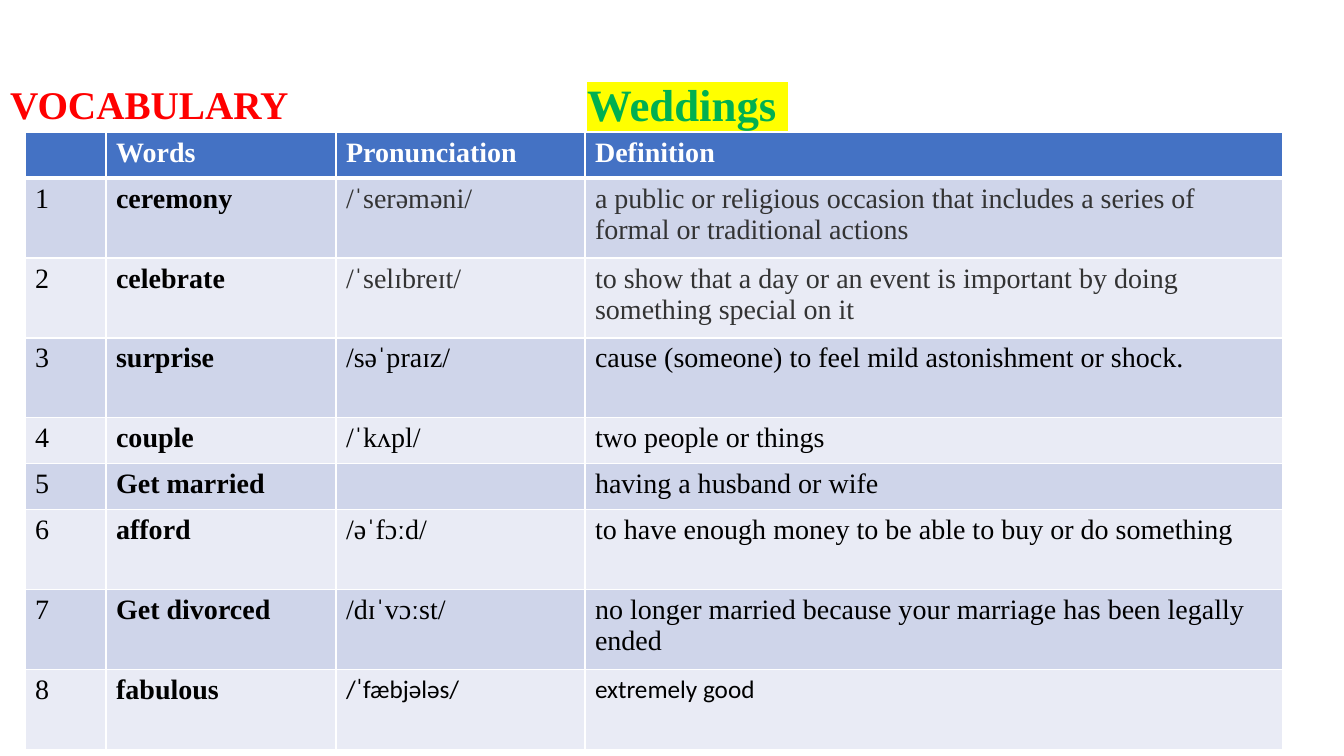
from lxml import etree
from pptx import Presentation
from pptx.dml.color import RGBColor
from pptx.enum.text import MSO_ANCHOR, MSO_AUTO_SIZE, PP_ALIGN
from pptx.oxml.ns import qn
from pptx.util import Pt

TOP = MSO_ANCHOR.TOP
NO_FIT = MSO_AUTO_SIZE.NONE
LEFT, CENTER = PP_ALIGN.LEFT, PP_ALIGN.CENTER

SERIF, SANS = "Times New Roman", "Calibri"
BLACK, GREY, WHITE = "000000", "333333", "FFFFFF"
HEADER_FILL = "4472C4"
BAND_FILLS = ["CFD5EA", "E9EBF5"]
COLUMN_WIDTHS = [81, 230, 249, 698]
SHORT_ROW, TALL_ROW = 46, 80
HEADERS = ["", "Words", "Pronunciation", "Definition"]
WORDS = [
    ("ceremony", "/ˈserəməni/",
     "a public or religious occasion that includes a series of formal or traditional actions",
     TALL_ROW, GREY, SERIF, 20),
    ("celebrate", "/ˈselɪbreɪt/",
     "to show that a day or an event is important by doing something special on it",
     TALL_ROW, GREY, SERIF, 20),
    ("surprise", "/səˈpraɪz/", "cause (someone) to feel mild astonishment or shock.",
     TALL_ROW, BLACK, SERIF, 20),
    ("couple", "/ˈkʌpl/", "two people or things", SHORT_ROW, BLACK, SERIF, 20),
    ("Get married", "", "having a husband or wife", SHORT_ROW, BLACK, SERIF, 20),
    ("afford", "/əˈfɔːd/", "to have enough money to be able to buy or do something",
     TALL_ROW, BLACK, SERIF, 20),
    ("Get divorced", "/dɪˈvɔːst/",
     "no longer married because your marriage has been legally ended",
     TALL_ROW, BLACK, SERIF, 20),
    ("fabulous", "/ˈfæbjələs/", "extremely good", TALL_ROW, BLACK, SANS, 18),
]


def px(n):
    return round(n * 914400 / 100.8)


def rgb(value):
    return RGBColor.from_string(value)


def add_run(p, text, size, color, bold=False, font=SERIF):
    r = p.add_run()
    r.text = text
    r.font.size = Pt(size)
    r.font.bold = bold
    r.font.name = font
    r.font.color.rgb = rgb(color)
    return r


def highlight(r, color):
    mark = etree.Element(qn("a:highlight"))
    etree.SubElement(mark, qn("a:srgbClr"), val=color)
    r.font.fill._xPr.find(qn("a:solidFill")).addnext(mark)


def place(sp, left, top, width, height, align):
    sp.left, sp.top, sp.width, sp.height = map(px, (left, top, width, height))
    tf = sp.text_frame
    tf.word_wrap = True
    tf.auto_size = NO_FIT
    tf.vertical_anchor = TOP
    p = tf.paragraphs[0]
    p.alignment = align
    return p


def set_borders(cell, top, bottom):
    tc_pr = cell._tc.get_or_add_tcPr()
    for side, width in (("L", 1), ("R", 1), ("T", top), ("B", bottom)):
        ln = etree.SubElement(tc_pr, qn(f"a:ln{side}"), w=str(Pt(width)))
        fill = etree.SubElement(ln, qn("a:solidFill"))
        etree.SubElement(fill, qn("a:srgbClr"), val=WHITE)


def fill_cell(cell, text, fill, size, color, bold, font, top=1, bottom=1):
    set_borders(cell, top, bottom)
    cell.fill.solid()
    cell.fill.fore_color.rgb = rgb(fill)
    if text:
        add_run(cell.text_frame.paragraphs[0], text, size, color, bold, font)


def add_vocabulary_table(slide, left, top):
    heights = [SHORT_ROW] + [word[3] for word in WORDS]
    table = slide.shapes.add_table(
        len(heights), len(COLUMN_WIDTHS), px(left), px(top),
        px(sum(COLUMN_WIDTHS)), px(sum(heights))).table
    for column, width in zip(table.columns, COLUMN_WIDTHS):
        column.width = px(width)
    for row, height in zip(table.rows, heights):
        row.height = px(height)
    for col, header in enumerate(HEADERS):
        fill_cell(table.cell(0, col), header, HEADER_FILL, 20, WHITE, True, SERIF, bottom=3)
    for row, (word, sound, meaning, _, color, font, size) in enumerate(WORDS, 1):
        band = BAND_FILLS[(row - 1) % 2]
        top_line = 3 if row == 1 else 1
        styles = [
            (str(row), 20, BLACK, False, SERIF),
            (word, 20, BLACK, True, SERIF),
            (sound, size, color, False, font),
            (meaning, size, color, False, font),
        ]
        for col, (text, *style) in enumerate(styles):
            fill_cell(table.cell(row, col), text, band, *style, top=top_line)


def main():
    prs = Presentation()
    prs.slide_width, prs.slide_height = px(1344), px(756)
    slide = prs.slides.add_slide(prs.slide_layouts[5])

    add_vocabulary_table(slide, 25, 132)

    topic = slide.shapes.add_textbox(0, 0, 0, 0)
    p = place(topic, 467, 72, 441, 64, CENTER)
    highlight(add_run(p, "Weddings ", 32, "00B050", True), "FFFF00")

    p = place(slide.shapes.title, 0, 75, 337, 57, LEFT)
    add_run(p, "VOCABULARY", 28, "FF0000", True)

    prs.save("out.pptx")


if __name__ == "__main__":
    main()
